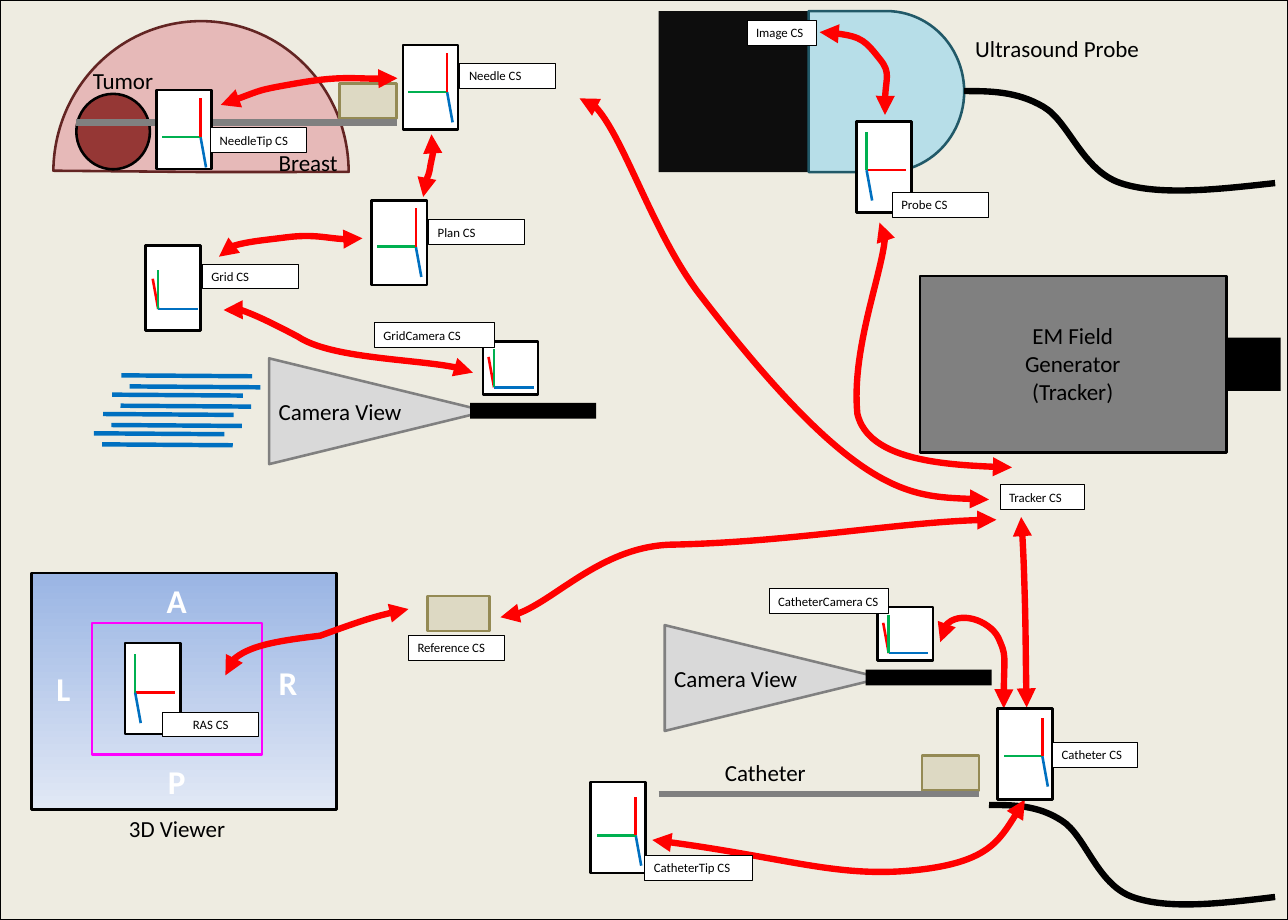
"""Builds a slide of the coordinate systems in a tracked breast procedure."""
import lxml.etree
import pptx
import pptx.dml.color
import pptx.enum.shapes
import pptx.enum.text
import pptx.oxml.ns
import pptx.util

COLORS = {
    "paper": "EEECE1", "black": "000000", "white": "FFFFFF", "gray": "808080",
    "cone": "D9D9D9", "breast": "E6B9B8", "breast edge": "632523", "tumor": "953735",
    "marker": "DDD9C3", "marker edge": "948A54", "image": "0D0D0D", "probe": "B7DEE8",
    "probe edge": "215968", "magenta": "FF00FF", "sky": "9AB5E4", "haze": "E1E8F5",
    "red": "FF0000", "green": "00B050", "blue": "0070C0",
}
CM_PER_INCH = 2.54
SLIDE_SIZE = (14, 10)
LABEL_HEIGHT = 0.27

SCENERY = [
    ("RECTANGLE", (0, 0, 14, 10), "paper", "black"),
    ("RECTANGLE", (12.84, 3.67, 0.58 + 0.5, 0.58), "black", None),
    ("RECTANGLE", (10, 3, 3.33, 1.92), "gray", "black"),
    ("PIE", (0.58, 0.23, 3.21, 3.28), "breast", "breast edge"),
    ("OVAL", (0.83, 1.02, 0.8, 0.82), "tumor", "black"),
    ("RECTANGLE", (4.65, 6.48, 0.67, 0.38), "marker", "marker edge"),
    ("RECTANGLE", (3.69, 0.91, 0.62, 0.38), "marker", "marker edge"),
    ("RECTANGLE", (10.02, 8.21, 0.62, 0.38), "marker", "marker edge"),
    ("RECTANGLE", (7.16, 0.12, 1.63, 1.75), "image", None),
    ("FLOWCHART_DELAY", (8.79, 0.12, 1.69, 1.75), "probe", "probe edge"),
    ("RECTANGLE", (0.34, 6.23, 3.32, 2.57), ("sky", "haze"), "black"),
    ("RECTANGLE", (1, 6.77, 1.85, 1.43), None, "magenta"),
]
PIE_ANGLES = (108.3, 215.99)
CAMERAS = [(7.83, 6.19), (3.53, 3.29)]
NEEDLES = [((0.83, 1.33), (4.32, 1.33)), ((7.16, 8.63), (10.64, 8.63))]
GRID_ROWS = [(1.41, 4.2), (1.32, 4.08)]

CAPTIONS = [
    ("EM Field\nGenerator\n(Tracker)", (10.89, 3.45, 1.54, 1.01), "CENTER"),
    ("Breast", (2.93, 1.57, 0.87, 0.4), "LEFT"),
    ("Tumor", (0.91, 0.67, 0.98, 0.4), "LEFT"),
    ("Ultrasound Probe", (10.5, 0.33, 2.34, 0.42), "LEFT"),
    ("3D Viewer", (0.96, 8.81, 1.93, 0.4), "CENTER"),
    ("Catheter", (7.78, 8.2, 1.33, 0.4), "LEFT"),
]
DIRECTIONS = [("R", 2.83, 7.15), ("L", 0.39, 7.21), ("A", 1.62, 6.26), ("P", 1.62, 8.23)]

CABLES = [
    [(10.75, 8.75), (11.01, 8.75), (11.28, 8.75), (11.54, 8.92), (11.8, 9.08),
     (11.92, 9.61), (12.31, 9.75), (12.7, 9.89), (13.28, 9.82), (13.86, 9.75)],
    [(10.48, 0.99), (10.76, 0.99), (11.05, 0.99), (11.34, 1.16), (11.62, 1.32),
     (11.76, 1.85), (12.18, 1.99), (12.6, 2.13), (13.23, 2.06), (13.86, 1.99)],
]
TRANSFORMS = [
    [(11.1, 5.62), (11.12, 5.89), (11.13, 6.16), (11.14, 6.51), (11.15, 6.85), (11.15, 7.27), (11.16, 7.69)],
    [(10.91, 7.7), (10.91, 7.11), (10.94, 7.13), (10.85, 6.93), (10.75, 6.74), (10.24, 6.56), (10.22, 6.98)],
    [(11.14, 8.69), (10.94, 9.03), (10.74, 9.38), (9.93, 9.46), (9.11, 9.54), (8.52, 9.31), (7.09, 9.13)],
    [(10.83, 5.65), (9.92, 5.65), (8.6, 5.89), (7.34, 5.92), (6.56, 5.92), (5.87, 6.71), (5.44, 6.71)],
    [(11, 5.08), (10.47, 5.07), (9.44, 5), (9.32, 4.5), (9.25, 3.8), (9.8, 2.39), (9.56, 2.42)],
    [(4.6, 2.14), (4.6, 2), (4.66, 1.92), (4.68, 1.79), (4.72, 1.6), (4.7, 1.7), (4.69, 1.46)],
    [(4.32, 0.85), (3.94, 0.87), (3.7, 0.82), (3.2, 0.91), (2.8, 0.98), (2.85, 0.98), (2.4, 1.14)],
    [(9.62, 1.25), (9.61, 0.89), (9.68, 0.79), (9.57, 0.65), (9.41, 0.45), (9.35, 0.37), (8.91, 0.35)],
    [(4.44, 6.62), (4.13, 6.68), (3.92, 6.75), (3.48, 6.91), (2.97, 6.97), (2.45, 7.07), (2.45, 7.34)],
    [(10.75, 5.43), (10.01, 5.41), (9.31, 5.41), (7.62, 3.22), (7.1, 2.56), (6.64, 1.03), (6.3, 1.07)],
    [(2.38, 2.79), (2.37, 2.65), (2.88, 2.61), (3.11, 2.58), (3.42, 2.54), (3.71, 2.63), (3.94, 2.59)],
    [(2.43, 3.37), (2.42, 3.23), (3.05, 3.56), (3.24, 3.66), (3.6, 3.9), (4.87, 3.91), (5.14, 4.05)],
]

AXES = {
    "tool": {"blue": (0.06, 0.33), "green": (-0.42, 0), "red": (0, -0.42)},
    "probe": {"red": (0.43, 0), "green": (0, -0.42), "blue": (0.06, 0.33)},
    "camera": {"red": (-0.06, -0.33), "blue": (0.43, 0), "green": (0, -0.42)},
}
FRAMES = [
    ("CatheterCamera CS", (8.36, 6.4, 1.3), (9.54, 6.6, 0.6, 0.58), (9.66, 7.1), "camera"),
    ("Catheter CS", (11.44, 8.07, 0.92), (10.84, 7.7, 0.6, 0.99), (11.33, 8.22), "tool"),
    ("CatheterTip CS", (7.01, 9.3, 1.17), (6.42, 8.5, 0.6, 0.99), (6.91, 9.08), "tool"),
    ("Needle CS", (5, 0.69, 1.04), (4.38, 0.49, 0.6, 0.92), (4.86, 1), "tool"),
    ("NeedleTip CS", (2.29, 1.39, 1.04), (1.7, 0.98, 0.6, 0.86), (2.18, 1.49), "tool"),
    ("Probe CS", (9.7, 2.09, 1.04), (9.31, 1.32, 0.6, 0.99), (9.42, 1.85), "probe"),
    ("RAS CS", (1.77, 7.74, 1.04), (1.36, 6.99, 0.6, 0.99), (1.47, 7.53), "probe"),
    ("Plan CS", (4.66, 2.39, 1.04), (4.04, 2.18, 0.6, 0.92), (4.52, 2.68), "tool"),
    ("Grid CS", (2.2, 2.87, 1.04), (1.58, 2.67, 0.6, 0.92), (1.72, 3.36), "camera"),
    ("GridCamera CS", (4.07, 3.51, 1.3), (5.25, 3.71, 0.6, 0.58), (5.37, 4.21), "camera"),
    ("Image CS", (8.12, 0.22, 0.76), None, None, None),
    ("Reference CS", (4.44, 6.91, 1.04), None, None, None),
    ("Tracker CS", (10.87, 5.27, 0.92), None, None, None),
]


def cm(*inches):
    return [pptx.util.Cm(value * CM_PER_INCH) for value in inches]


def rgb(color):
    return pptx.dml.color.RGBColor.from_string(COLORS[color])


def paint(part, fill, edge, width=2):
    if isinstance(fill, tuple):
        part.fill.gradient()
        part.fill.gradient_angle = 270
        for stop, color in zip(part.fill.gradient_stops, fill):
            stop.color.rgb = rgb(color)
    elif fill:
        part.fill.solid()
        part.fill.fore_color.rgb = rgb(fill)
    else:
        part.fill.background()
    if edge:
        part.line.color.rgb = rgb(edge)
        part.line.width = pptx.util.Pt(width)
    else:
        part.line.fill.background()


def add_part(slide, preset, box, fill, edge):
    part = slide.shapes.add_shape(pptx.enum.shapes.MSO_SHAPE[preset], *cm(*box))
    part.shadow.inherit = False
    paint(part, fill, edge)
    return part


def add_text(slide, text, box, size=18, color="black", bold=False, align="LEFT", fill=None, edge=None):
    words = slide.shapes.add_textbox(*cm(*box))
    paint(words, fill, edge, 0.75)
    words.text_frame.word_wrap = True
    words.text_frame.text = text
    for paragraph in words.text_frame.paragraphs:
        paragraph.alignment = pptx.enum.text.PP_ALIGN[align]
        font = paragraph.runs[0].font
        font.name, font.size, font.bold = "Calibri", pptx.util.Pt(size), bold
        font.color.rgb = rgb(color)


def add_line(slide, start, end, color, width):
    line = slide.shapes.add_connector(pptx.enum.shapes.MSO_CONNECTOR.STRAIGHT, *cm(*start, *end))
    line.line.color.rgb = rgb(color)
    line.line.width = pptx.util.Pt(width)
    lxml.etree.SubElement(line.element.spPr, pptx.oxml.ns.qn("a:effectLst"))


def add_curve(slide, points, color, arrows=False):
    start, *controls = [cm(*point) for point in points]
    builder = slide.shapes.build_freeform(*start)
    builder.add_line_segments(controls, close=False)
    curve = builder.convert_to_shape()
    curve.shadow.inherit = False
    paint(curve, None, color, 5)
    segments = iter(curve.element.xpath(".//a:path/a:lnTo"))
    for triple in zip(segments, segments, segments):
        bezier = triple[0].makeelement(pptx.oxml.ns.qn("a:cubicBezTo"))
        triple[0].addprevious(bezier)
        for segment in triple:
            bezier.append(segment[0])
            segment.getparent().remove(segment)
    if arrows:
        for end in ("a:headEnd", "a:tailEnd"):
            lxml.etree.SubElement(curve.line._get_or_add_ln(), pptx.oxml.ns.qn(end), type="triangle")


def main():
    deck = pptx.Presentation()
    deck.slide_width, deck.slide_height = cm(*SLIDE_SIZE)
    slide = deck.slides.add_slide(deck.slide_layouts[6])
    slide.background.fill.solid()
    slide.background.fill.fore_color.rgb = rgb("paper")

    for preset, box, fill, edge in SCENERY:
        part = add_part(slide, preset, box, fill, edge)
        if preset == "PIE":
            part.adjustments[0], part.adjustments[1] = PIE_ANGLES
    for x, y in CAMERAS:
        add_part(slide, "ISOSCELES_TRIANGLE", (x, y, 1.15, 2.36), "cone", "gray").rotation = 90
        add_part(slide, "RECTANGLE", (x + 1.58, y + 1.09, 1.37, 0.17), "black", None)
        add_text(slide, "Camera View", (x - 0.6, y + 0.98, 2, 0.4))
    for start, end in NEEDLES:
        add_line(slide, start, end, "gray", 5)
    for x, y in GRID_ROWS:
        for row in range(4):
            left, top = x - 0.1 * row, y + 0.21 * row
            add_line(slide, (left, top), (left + 1.42, top + 0.01), "blue", 3.5)
    for text, box, align in CAPTIONS:
        add_text(slide, text, box, align=align)
    for letter, x, y in DIRECTIONS:
        add_text(slide, letter, (x, y, 0.6, 0.54), size=26, color="white", bold=True, align="CENTER")
    for points in CABLES:
        add_curve(slide, points, "black")
    for points in TRANSFORMS:
        add_curve(slide, points, "red", arrows=True)
    for name, label, card, origin, kind in FRAMES:
        if card:
            add_part(slide, "RECTANGLE", card, "white", "black")
            for color, (dx, dy) in AXES[kind].items():
                add_line(slide, origin, (origin[0] + dx, origin[1] + dy), color, 2)
        add_text(slide, name, (*label, LABEL_HEIGHT), size=10, fill="white", edge="black",
                 align="CENTER" if name == "RAS CS" else "LEFT")
    deck.save("out.pptx")


if __name__ == "__main__":
    main()
